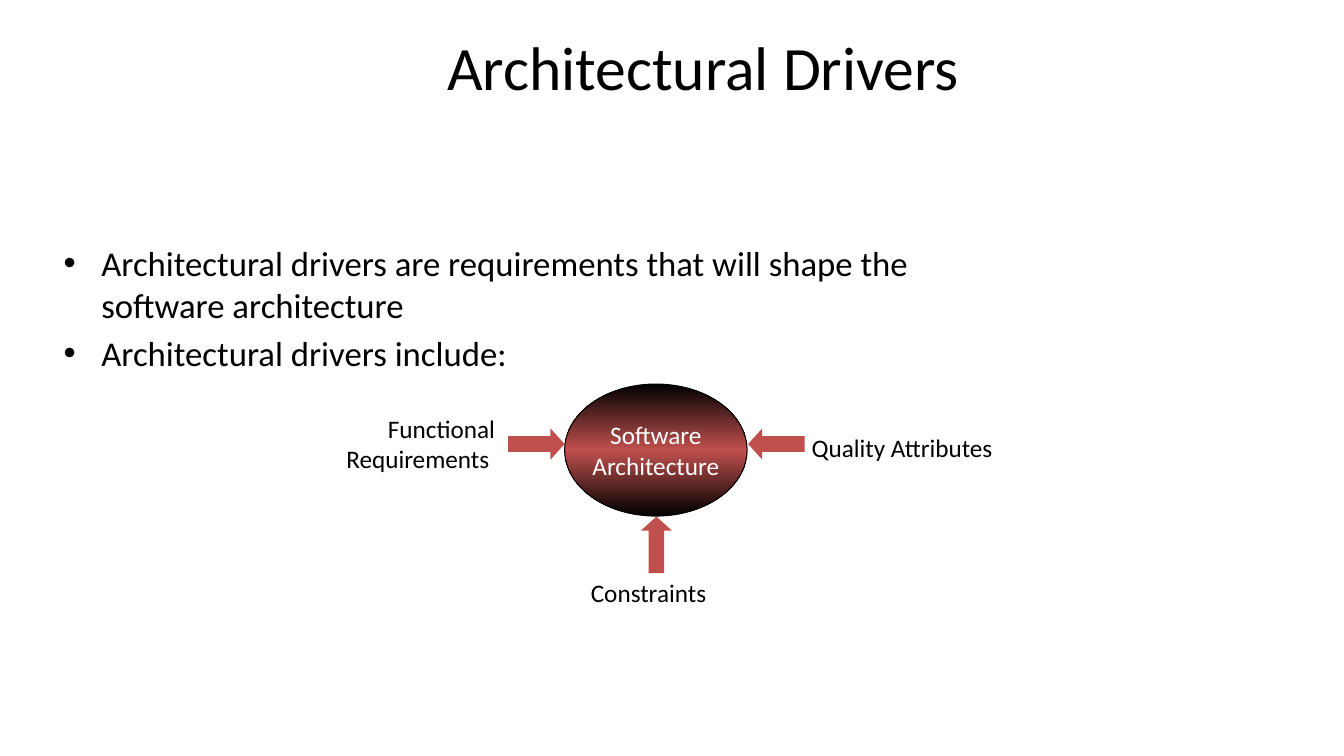
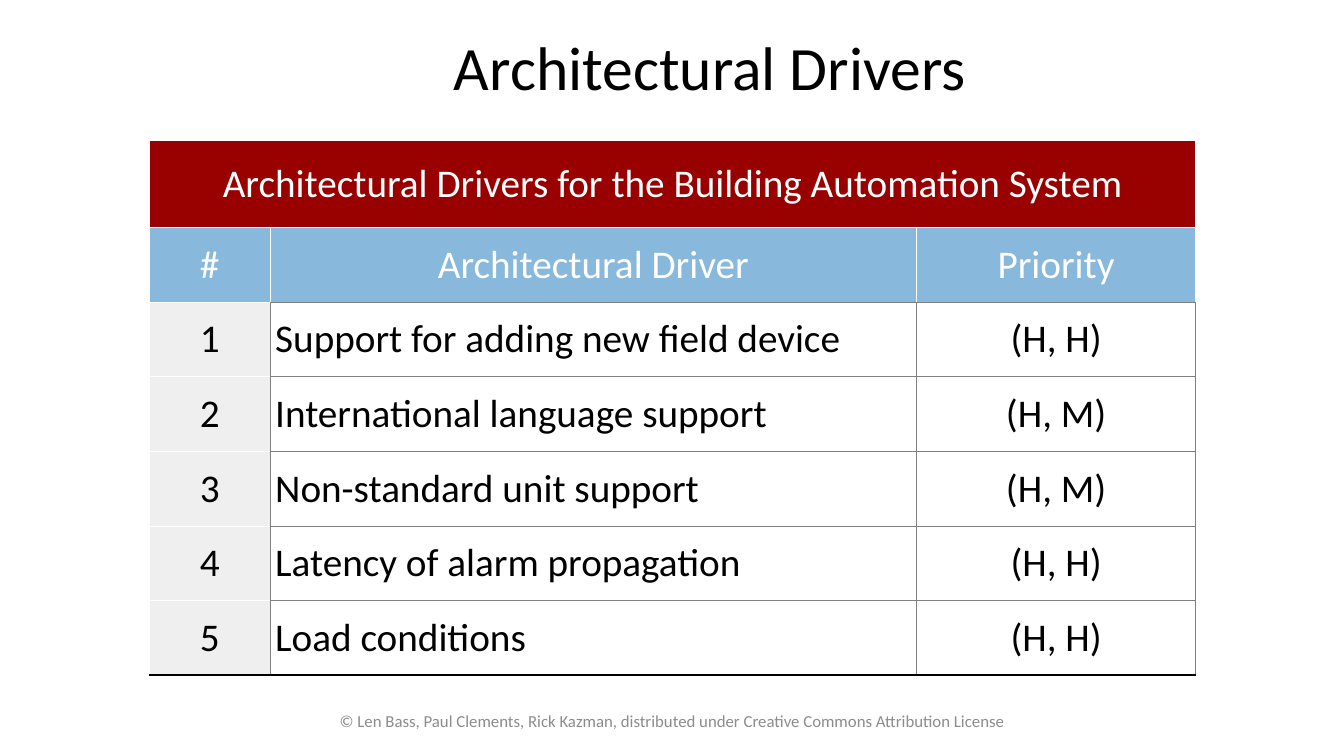
from dataclasses import dataclass
from typing import Any, Optional
import copy

import lxml.etree
import pptx
import pptx.dml.color
import pptx.enum.shapes
import pptx.enum.text
import pptx.oxml.ns
import pptx.util

EMU_PER_PX = 9144
FONT = "Calibri"
COLORS = {
    "black": "000000",
    "white": "FFFFFF",
    "brick": "C0504D",
    "maroon": "990000",
    "sky": "88B8DB",
    "pale": "EFEFEF",
    "grid": "808080",
    "footer": "8C8C8C",
}
ALIGN = pptx.enum.text.PP_ALIGN
MIDDLE = pptx.enum.text.MSO_ANCHOR.MIDDLE
AUTO_SIZE = pptx.enum.text.MSO_AUTO_SIZE
SHAPES = pptx.enum.shapes.MSO_SHAPE
qn = pptx.oxml.ns.qn


@dataclass(frozen=True)
class Box:
    left: int
    top: int
    width: int
    height: int

    def emu(self) -> list[pptx.util.Emu]:
        return [px(n) for n in (self.left, self.top, self.width, self.height)]


@dataclass(frozen=True)
class Driver:
    label: str
    label_box: Box
    align: Any
    arrow_box: Box
    rotation: int


@dataclass(frozen=True)
class Border:
    color: str
    points: float = 0.75


TITLE_BOX = Box(142, 30, 1125, 85)
BODY_BOX = Box(53, 235, 951, 128)
ELLIPSE_BOX = Box(560, 381, 181, 131)
FOOTER_BOX = Box(205, 695, 924, 40)

DRIVERS = [
    Driver("Functional Requirements ", Box(317, 406, 181, 68), ALIGN.RIGHT,
           Box(504, 425, 56, 31), 0),
    Driver("Quality Attributes", Box(798, 425, 225, 38), ALIGN.LEFT,
           Box(742, 425, 56, 31), 180),
    Driver("Constraints", Box(579, 569, 144, 38), ALIGN.LEFT,
           Box(623, 525, 56, 31), 270),
]

COLUMN_WIDTHS = [120, 641, 277]
BANNER_HEIGHT, ROW_HEIGHT = 87, 74
TABLE_LEFT, TABLE_TOP = 148, 139
TABLE_ROWS = [
    ("Architectural Drivers for the Building Automation System", "", ""),
    ("#", "Architectural Driver", "Priority"),
    ("1", "Support for adding new field device", "(H, H)"),
    ("2", "International language support", "(H, M)"),
    ("3", "Non-standard unit support", "(H, M)"),
    ("4", "Latency of alarm propagation", "(H, H)"),
    ("5", "Load conditions", "(H, H)"),
]


def px(length: int) -> pptx.util.Emu:
    return pptx.util.Emu(length * EMU_PER_PX)


def rgb(name: str) -> pptx.dml.color.RGBColor:
    return pptx.dml.color.RGBColor.from_string(COLORS[name])


def set_margins(target: Any, horizontal: int, vertical: int) -> None:
    target.margin_left = target.margin_right = px(horizontal)
    target.margin_top = target.margin_bottom = px(vertical)


def write_text(frame: Any, text: str, *, size: float, color: str = "black",
               align: Any = None, line_spacing: Optional[float] = None,
               gap: float = 0, space_after: Optional[float] = None) -> None:
    for index, line in enumerate(text.split("\n")):
        paragraph = frame.add_paragraph() if index else frame.paragraphs[0]
        paragraph.alignment = align
        paragraph.space_before = pptx.util.Pt(gap if index else 0)
        if line_spacing is not None:
            paragraph.line_spacing = line_spacing
        if space_after is not None:
            paragraph.space_after = pptx.util.Pt(space_after)
        run = paragraph.add_run()
        run.text = line
        run.font.name = FONT
        run.font.size = pptx.util.Pt(size)
        run.font.color.rgb = rgb(color)


def place(shape: Any, box: Box) -> Any:
    shape.left, shape.top, shape.width, shape.height = box.emu()
    shape.text_frame.auto_size = AUTO_SIZE.NONE
    shape.text_frame.word_wrap = True
    return shape.text_frame


def add_titled_slide(presentation: Any, layout: int, title: str) -> Any:
    slide = presentation.slides.add_slide(presentation.slide_layouts[layout])
    frame = place(slide.shapes.title, TITLE_BOX)
    frame.vertical_anchor = MIDDLE
    write_text(frame, title, size=44, align=ALIGN.CENTER, line_spacing=0.8)
    return slide


def add_driver(slide: Any, driver: Driver) -> None:
    group = slide.shapes.add_group_shape()
    label = group.shapes.add_textbox(*driver.label_box.emu())
    frame = label.text_frame
    frame.word_wrap = True
    frame.auto_size = AUTO_SIZE.SHAPE_TO_FIT_TEXT
    set_margins(frame, 7, 4)
    write_text(frame, driver.label, size=18, align=driver.align)
    arrow = group.shapes.add_shape(SHAPES.RIGHT_ARROW, *driver.arrow_box.emu())
    arrow.shadow.inherit = False
    arrow.adjustments[0], arrow.adjustments[1] = 0.5, 0.45
    arrow.rotation = driver.rotation
    arrow.fill.solid()
    arrow.fill.fore_color.rgb = rgb("brick")
    arrow.line.fill.background()


def add_architecture_ellipse(slide: Any) -> None:
    ellipse = slide.shapes.add_shape(SHAPES.OVAL, *ELLIPSE_BOX.emu())
    ellipse.shadow.inherit = False
    ellipse.fill.gradient()
    ellipse.fill.gradient_angle = 90
    stop_list = ellipse.element.spPr.find(qn("a:gradFill")).find(qn("a:gsLst"))
    stop_list.insert(1, copy.deepcopy(stop_list[0]))
    stops = zip(ellipse.fill.gradient_stops, (0, 0.5, 1), ("black", "brick", "black"))
    for stop, position, color in stops:
        stop.position = position
        stop.color.rgb = rgb(color)
    ellipse.line.color.rgb = rgb("black")
    ellipse.line.width = pptx.util.Pt(0.75)
    frame = ellipse.text_frame
    frame.word_wrap = False
    frame.vertical_anchor = MIDDLE
    set_margins(frame, 7, 4)
    write_text(frame, "Software\nArchitecture", size=18, color="white", align=ALIGN.CENTER)


def set_borders(cell: Any, borders: dict[str, Border]) -> None:
    properties = cell._tc.get_or_add_tcPr()
    for side in "LRTB":
        border = borders[side]
        line = lxml.etree.SubElement(properties, qn(f"a:ln{side}"),
                                     w=str(pptx.util.Pt(border.points)))
        fill = lxml.etree.SubElement(line, qn("a:solidFill"))
        lxml.etree.SubElement(fill, qn("a:srgbClr"), val=COLORS[border.color])


def cell_borders(row: int, column: int) -> dict[str, Border]:
    white, grid = Border("white"), Border("grid")
    borders = dict.fromkeys("LRTB", white if row < 2 or column == 0 else grid)
    if row == 1 and column > 0:
        borders["B"] = grid
    if row > 1 and column == 0:
        borders["R"] = grid
    if row == len(TABLE_ROWS) - 1:
        borders["B"] = Border("black", 1.5)
    return borders


def format_cell(cell: Any, row: int, column: int, text: str) -> None:
    set_borders(cell, cell_borders(row, column))
    is_body = row > 1 and column > 0
    if row < 2:
        fill = ("maroon", "sky")[row]
    else:
        fill = "white" if is_body else "pale"
    cell.fill.solid()
    cell.fill.fore_color.rgb = rgb(fill)
    cell.vertical_anchor = MIDDLE
    set_margins(cell, 5 if is_body else 10, 17 if row == 0 else 5 if is_body else 10)
    if text:
        write_text(cell.text_frame, text, size=28,
                   color="white" if row < 2 else "black",
                   align=ALIGN.LEFT if is_body and column == 1 else ALIGN.CENTER)


def add_priority_table(slide: Any) -> None:
    heights = [BANNER_HEIGHT] + [ROW_HEIGHT] * (len(TABLE_ROWS) - 1)
    box = Box(TABLE_LEFT, TABLE_TOP, sum(COLUMN_WIDTHS), sum(heights))
    table = slide.shapes.add_table(len(heights), len(COLUMN_WIDTHS), *box.emu()).table
    table.first_row = table.horz_banding = False
    for column, width in zip(table.columns, COLUMN_WIDTHS):
        column.width = px(width)
    for row, height in zip(table.rows, heights):
        row.height = px(height)
    table.cell(0, 0).merge(table.cell(0, len(COLUMN_WIDTHS) - 1))
    for row_index, texts in enumerate(TABLE_ROWS):
        for column_index, text in enumerate(texts):
            format_cell(table.cell(row_index, column_index), row_index, column_index, text)


def add_footer(slide: Any, text: str) -> None:
    frame = place(slide.shapes.add_textbox(*FOOTER_BOX.emu()), FOOTER_BOX)
    frame.vertical_anchor = MIDDLE
    write_text(frame, text, size=12, color="footer", align=ALIGN.CENTER, space_after=6)


def build_diagram_slide(presentation: Any) -> None:
    slide = add_titled_slide(presentation, 1, "Architectural Drivers ")
    write_text(place(slide.placeholders[1], BODY_BOX),
               "Architectural drivers are requirements that will shape the software architecture\n"
               "Architectural drivers include:", size=24.8, gap=4.5)
    for driver in DRIVERS:
        add_driver(slide, driver)
    add_architecture_ellipse(slide)


def build_table_slide(presentation: Any) -> None:
    slide = add_titled_slide(presentation, 5, "Architectural Drivers")
    add_footer(slide, "© Len Bass, Paul Clements, Rick Kazman, distributed under "
                      "Creative Commons Attribution License")
    add_priority_table(slide)


def main() -> None:
    presentation = pptx.Presentation()
    presentation.slide_width, presentation.slide_height = px(1333), px(750)
    build_diagram_slide(presentation)
    build_table_slide(presentation)
    presentation.save("out.pptx")


if __name__ == "__main__":
    main()
